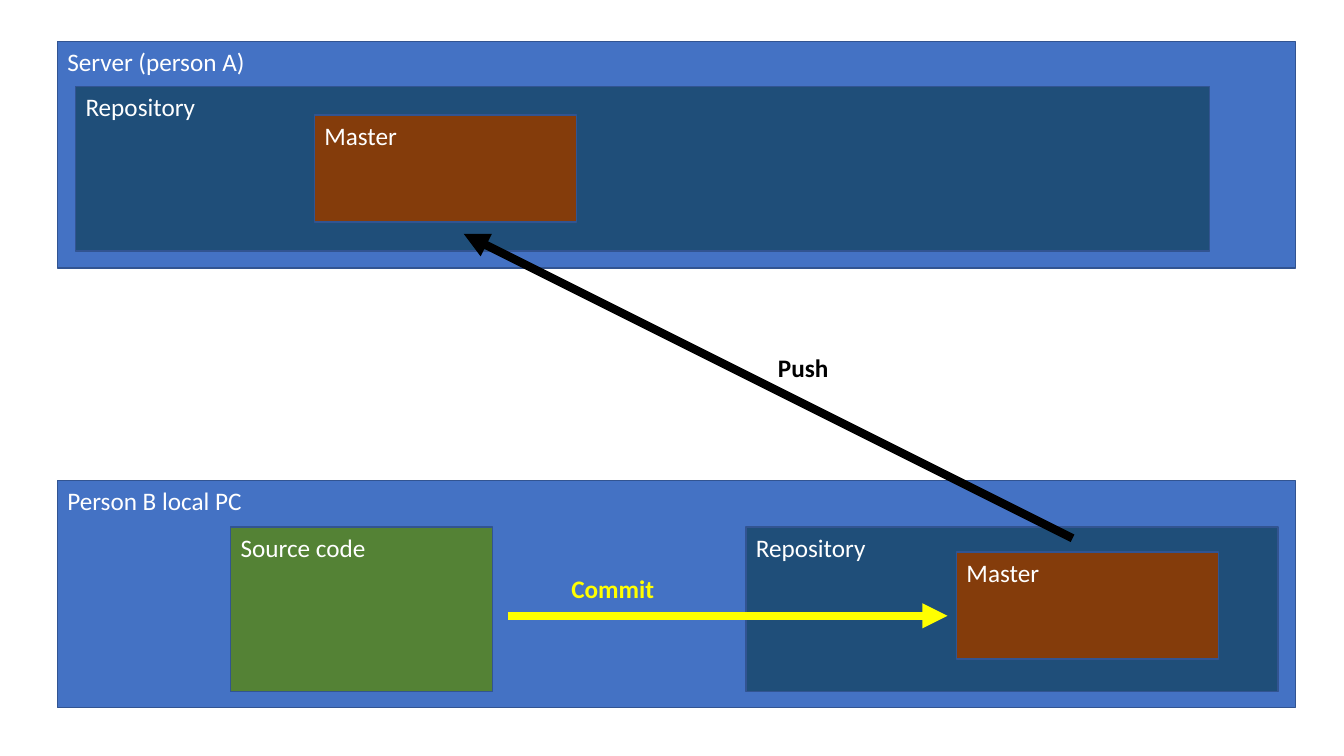
from pptx import Presentation
from pptx import util as u
from pptx.dml.color import RGBColor
from pptx.enum import shapes, text
from pptx.oxml import parse_xml
from pptx.oxml.ns import nsdecls

COLORS = {
    "place": "4472C4",
    "repository": "1F4E79",
    "master": "843C0B",
    "source": "548235",
    "outline": "325491",
    "label": "FFFFFF",
    "push": "000000",
    "commit": "FFFF00",
}
PLACE_SIZE = (884.2, 162)
MASTER_SIZE = (187.2, 76.3)
INNER_HEIGHT = 117.4


def color(name):
    return RGBColor.from_string(COLORS[name])


def write(frame, words, ink, bold=False):
    paragraph = frame.paragraphs[0]
    paragraph.alignment = text.PP_ALIGN.LEFT
    run = paragraph.add_run()
    run.text = words
    run.font.name = "Calibri"
    run.font.size = u.Pt(18)
    run.font.bold = bold
    run.font.color.rgb = color(ink)


def add_block(slide, words, fill, left, top, width, height):
    block = slide.shapes.add_shape(
        shapes.MSO_SHAPE.RECTANGLE, *map(u.Pt, (left, top, width, height)))
    block.shadow.inherit = False
    block.fill.solid()
    block.fill.fore_color.rgb = color(fill)
    block.line.color.rgb = color("outline")
    block.line.width = u.Pt(1)
    block.text_frame.word_wrap = True
    block.text_frame.vertical_anchor = text.MSO_ANCHOR.TOP
    write(block.text_frame, words, "label")


def add_arrow(slide, ink, start, end):
    arrow = slide.shapes.add_connector(
        shapes.MSO_CONNECTOR.STRAIGHT, *map(u.Pt, (*start, *end)))
    arrow.line.color.rgb = color(ink)
    arrow.line.width = u.Pt(6)
    arrow.line._get_or_add_ln().append(
        parse_xml(f'<a:tailEnd {nsdecls("a")} type="triangle"/>'))
    arrow._element.spPr.append(parse_xml(f'<a:effectLst {nsdecls("a")}/>'))


def add_action(slide, words, ink, left, top, width):
    action = slide.shapes.add_textbox(*map(u.Pt, (left, top, width, 29)))
    action.text_frame.word_wrap = False
    action.text_frame.auto_size = text.MSO_AUTO_SIZE.SHAPE_TO_FIT_TEXT
    write(action.text_frame, words, ink, bold=True)


def add_repository(slide, left, top, width, master_dx, master_dy):
    add_block(slide, "Repository", "repository", left, top, width, INNER_HEIGHT)
    add_block(slide, "Master", "master", left + master_dx, top + master_dy, *MASTER_SIZE)


def add_remote(slide, left, top):
    add_block(slide, "Server (person A)", "place", left, top, *PLACE_SIZE)
    add_repository(slide, left + 13, top + 32.5, 810, 170.6, 20.2)


def add_local_pc(slide, left, top):
    add_block(slide, "Person B local PC", "place", left, top, *PLACE_SIZE)
    add_repository(slide, left + 491.8, top + 33, 380.2, 150.5, 18)
    add_block(slide, "Source code", "source",
              left + 123.8, top + 33, MASTER_SIZE[0], INNER_HEIGHT)
    commit_y = top + 96.5
    add_arrow(slide, "commit", (left + 321.8, commit_y), (left + 635.8, commit_y))
    add_action(slide, "Commit", "commit", left + 360, top + 62.6, 74.2)


def add_push(slide, start, end):
    add_arrow(slide, "push", start, end)
    add_action(slide, "Push", "push", start[0] - 217.5, start[1] - 136.1, 51.1)


def main():
    deck = Presentation()
    deck.slide_width, deck.slide_height = u.Pt(960), u.Pt(540)
    slide = deck.slides.add_slide(deck.slide_layouts[6])
    add_remote(slide, 41, 29.5)
    add_local_pc(slide, 41, 343.4)
    add_push(slide, (766.1, 384.5), (331.2, 167))
    deck.save("out.pptx")


if __name__ == "__main__":
    main()
